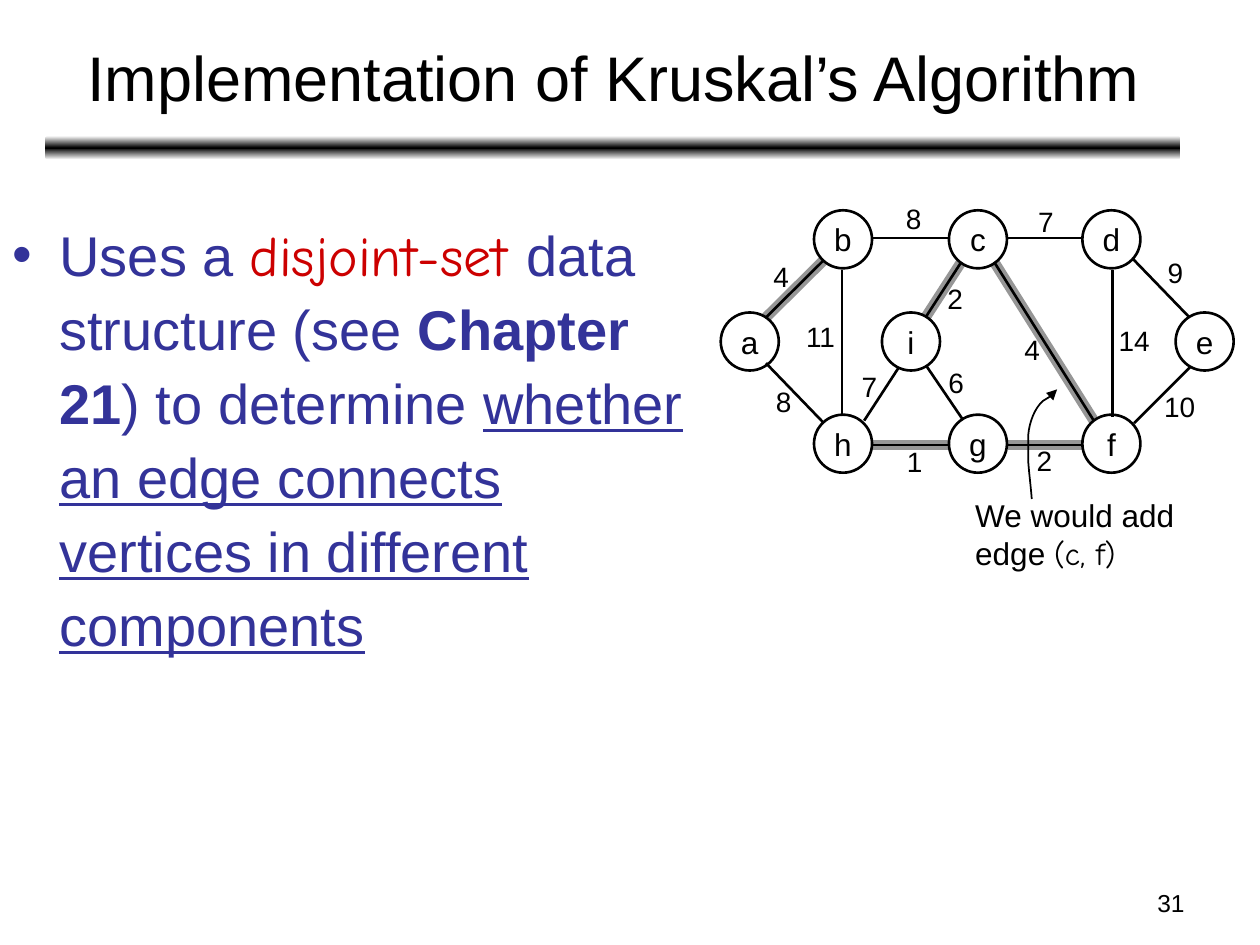
import copy

import lxml.etree
import pptx
import pptx.dml.color
import pptx.enum.dml
import pptx.enum.shapes
import pptx.enum.text
import pptx.oxml.ns
import pptx.util

Cm = pptx.util.Cm
Pt = pptx.util.Pt
qn = pptx.oxml.ns.qn
RGB = pptx.dml.color.RGBColor.from_string
ALIGN = pptx.enum.text.PP_ALIGN
MIDDLE = pptx.enum.text.MSO_ANCHOR.MIDDLE
SHAPE = pptx.enum.shapes.MSO_SHAPE

THEME = {
    "ink": RGB("000000"), "paper": RGB("FFFFFF"), "body": RGB("333399"),
    "term": RGB("CC0000"), "tree": RGB("969696"),
    "sans": "Arial", "hand": "Comic Neue",
    "title_size": 36, "body_size": 32, "node_size": 18, "weight_size": 16, "number_size": 14,
    "edge_width": 1.5, "tree_width": 6, "arrow_width": 1,
}


def style(run, size, color=THEME["ink"], face=THEME["sans"]):
    run.font.size = Pt(size)
    run.font.color.rgb = color
    run.font.name = face


def add_edge(ends, color, width):
    edge = slide.shapes.add_connector(
        pptx.enum.shapes.MSO_CONNECTOR.STRAIGHT, *[Cm(value) for value in ends])
    edge.line.color.rgb = color
    edge.line.width = Pt(width)
    lxml.etree.SubElement(edge._element.spPr, qn("a:effectLst"))


deck = pptx.Presentation()
deck.slide_width, deck.slide_height = Cm(25.4), Cm(19.05)
slide = deck.slides.add_slide(deck.slide_layouts[5])

# Title and the shaded rule below it
title = slide.shapes.title
title.left, title.top, title.width, title.height = Cm(0.94), Cm(0.28), Cm(22.86), Cm(2.51)
title.text_frame.text = "Implementation of Kruskal’s Algorithm"
title.text_frame.vertical_anchor = MIDDLE
title.text_frame.auto_size = pptx.enum.text.MSO_AUTO_SIZE.NONE
title.text_frame.paragraphs[0].alignment = ALIGN.CENTER
style(title.text_frame.paragraphs[0].runs[0], THEME["title_size"])

rule = slide.shapes.add_shape(SHAPE.ROUNDED_RECTANGLE, Cm(0.91), Cm(2.74), Cm(22.89), Cm(0.48))
rule.shadow.inherit = False
rule.line.fill.background()
rule.fill.gradient()
rule.fill.gradient_angle = 90
for stop in rule.fill.gradient_stops:
    stop.color.rgb = THEME["paper"]
stops = rule._element.spPr.find(qn("a:gradFill")).find(qn("a:gsLst"))
stops.insert(1, copy.deepcopy(stops[0]))
rule.fill.gradient_stops[1].position = 0.5
rule.fill.gradient_stops[1].color.rgb = THEME["ink"]

# Bulleted explanation
explanation = slide.shapes.add_textbox(Cm(0), Cm(4.19), Cm(14.12), Cm(9.22))
explanation.text_frame.word_wrap = True
bullet = explanation.text_frame.paragraphs[0]
bullet.line_spacing = 1.1
bullet_format = bullet._p.get_or_add_pPr()
bullet_format.set("marL", str(Cm(0.95)))
bullet_format.set("indent", str(Cm(-0.95)))
bullet_color = lxml.etree.SubElement(bullet_format, qn("a:buClr"))
lxml.etree.SubElement(bullet_color, qn("a:srgbClr"), val=str(THEME["body"]))
lxml.etree.SubElement(bullet_format, qn("a:buFont"), typeface=THEME["sans"])
lxml.etree.SubElement(bullet_format, qn("a:buChar"), char="•")
for words, emphasis in [
    ("Uses a ", None),
    ("disjoint-set ", "term"),
    ("data structure (see ", None),
    ("Chapter 21", "bold"),
    (") to determine ", None),
    ("whether an edge connects vertices in different components", "underline"),
]:
    run = bullet.add_run()
    run.text = words
    if emphasis == "term":
        style(run, THEME["body_size"], THEME["term"], THEME["hand"])
    else:
        style(run, THEME["body_size"], THEME["body"])
        run.font.bold = emphasis == "bold"
        run.font.underline = emphasis == "underline"

# Graph edges: end points, weight, left and top of the weight, chosen for the tree
edges = [
    ((15.44, 6.40, 16.59, 5.26), "4", 15.34, 5.11, True),    # a-b
    ((17.58, 4.80, 19.13, 4.80), "8", 18.01, 3.94, False),   # b-c
    ((20.27, 4.80, 21.82, 4.80), "7", 20.68, 3.99, False),   # c-d
    ((15.44, 7.32, 16.59, 8.51), "8", 15.39, 7.62, False),   # a-h
    ((16.97, 5.44, 16.97, 8.38), "11", 16.00, 6.32, False),  # b-h
    ((17.58, 8.97, 19.13, 8.97), "1", 18.03, 8.84, True),    # h-g
    ((20.32, 8.97, 21.84, 8.97), "2", 20.65, 8.81, True),    # g-f
    ((17.42, 8.48, 18.11, 7.42), "7", 17.12, 7.32, False),   # h-i
    ((18.67, 6.38, 19.38, 5.28), "2", 18.85, 5.56, True),    # i-c
    ((20.04, 5.28, 22.05, 8.48), "4", 20.40, 6.58, True),    # c-f
    ((22.43, 5.44, 22.43, 8.41), "14", 22.30, 6.40, False),  # d-f
    ((22.83, 5.21, 23.98, 6.40), "9", 23.29, 5.03, False),   # d-e
    ((22.86, 8.53, 24.00, 7.39), "10", 23.22, 7.72, False),  # f-e
    ((18.67, 7.37, 19.41, 8.46), "6", 18.87, 7.24, False),   # i-g
]
for ends, weight, left, top, in_tree in edges:
    if in_tree:
        add_edge(ends, THEME["tree"], THEME["tree_width"])
for ends, weight, left, top, in_tree in edges:
    add_edge(ends, THEME["ink"], THEME["edge_width"])
    label = slide.shapes.add_textbox(Cm(left), Cm(top), Cm(0.42 + 0.4 * len(weight)), Cm(0.94))
    label.text_frame.word_wrap = False
    label.text_frame.text = weight
    style(label.text_frame.paragraphs[0].runs[0], THEME["weight_size"])

# Graph vertices on three rows
rows = [
    (4.24, [("b", 16.41), ("c", 19.13), ("d", 21.82)]),
    (6.30, [("a", 14.53), ("i", 17.78), ("e", 23.70)]),
    (8.36, [("h", 16.41), ("g", 19.13), ("f", 21.82)]),
]
for top, vertices in rows:
    for name, left in vertices:
        vertex = slide.shapes.add_shape(SHAPE.OVAL, Cm(left), Cm(top), Cm(1.17), Cm(1.17))
        vertex.shadow.inherit = False
        vertex.fill.background()
        vertex.line.color.rgb = THEME["ink"]
        vertex.line.width = Pt(THEME["edge_width"])
        vertex.text_frame.word_wrap = False
        vertex.text_frame.vertical_anchor = MIDDLE
        vertex.text_frame.text = name
        vertex.text_frame.paragraphs[0].alignment = ALIGN.CENTER
        style(vertex.text_frame.paragraphs[0].runs[0], THEME["node_size"])

# Remark on edge (c, f) with its curved arrow
remark = slide.shapes.add_textbox(Cm(19.41), Cm(9.88), Cm(4.52), Cm(1.78))
remark.text_frame.word_wrap = False
remark.text_frame.text = "We would add\nedge "
remark.text_frame.paragraphs[1].add_run().text = "(c, f)"
for line in remark.text_frame.paragraphs:
    for run in line.runs:
        style(run, THEME["node_size"])
run.font.name = THEME["hand"]

# After the start, every three points are two Bézier controls and an end
arrow_points = [
    (20.80, 10.06),
    (20.78, 9.80), (20.75, 9.58), (20.73, 9.32),
    (20.73, 9.14), (20.73, 8.97), (20.73, 8.76),
    (20.75, 8.53), (20.85, 8.23), (21.03, 8.08),
    (21.08, 8.05), (21.11, 8.03), (21.16, 8.00),
    (21.23, 7.92), (21.18, 7.95), (21.26, 7.92),
    (21.29, 7.90), (21.31, 7.85), (21.31, 7.85),
]
points = [(Cm(x), Cm(y)) for x, y in arrow_points]
outline = slide.shapes.build_freeform(*points[0])
outline.add_line_segments(points[1:], close=False)
arrow = outline.convert_to_shape()
arrow.shadow.inherit = False
arrow.fill.background()
arrow.line.color.rgb = THEME["ink"]
arrow.line.width = Pt(THEME["arrow_width"])
lxml.etree.SubElement(arrow.line._get_or_add_ln(), qn("a:tailEnd"), type="triangle")
segments = list(arrow._element.iter(qn("a:lnTo")))
track = segments[0].getparent()
for first in range(0, len(segments), 3):
    curve = lxml.etree.SubElement(track, qn("a:cubicBezTo"))
    for segment in segments[first:first + 3]:
        curve.append(segment[0])
        track.remove(segment)

# Slide number
number = slide.shapes.add_textbox(Cm(18.21), Cm(17.78), Cm(5.92), Cm(0.89))
number.text_frame.word_wrap = True
number.text_frame.text = "31"
number.text_frame.paragraphs[0].alignment = ALIGN.RIGHT
style(number.text_frame.paragraphs[0].runs[0], THEME["number_size"])

deck.save("out.pptx")
